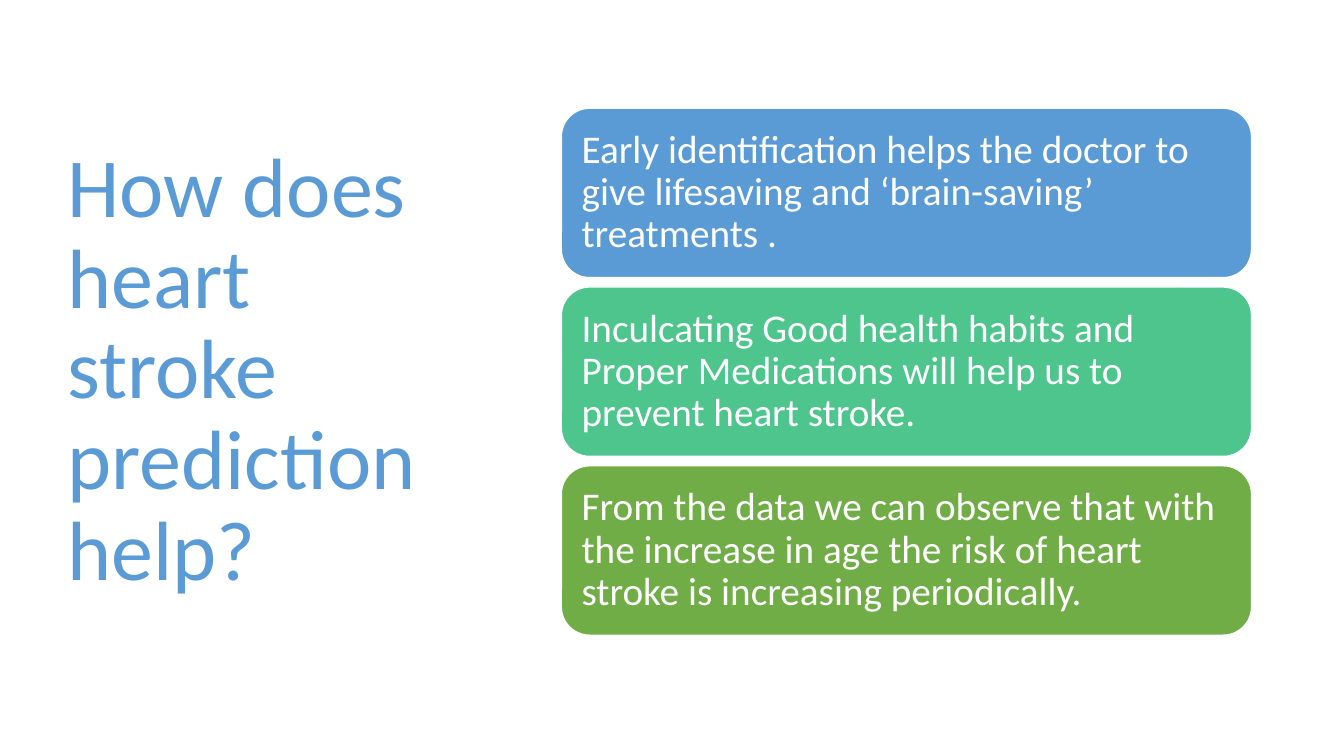
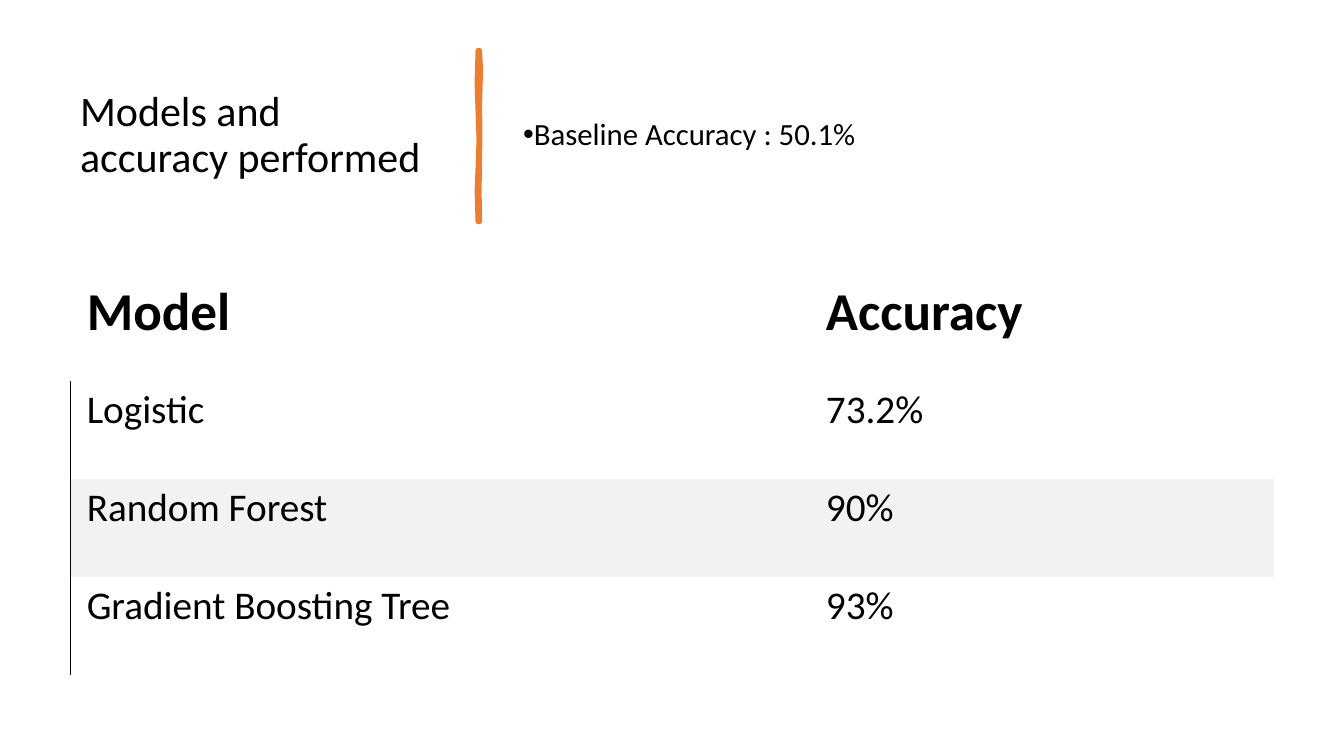
from pptx import Presentation
from pptx.dml.color import RGBColor
from pptx.enum.shapes import MSO_SHAPE
from pptx.enum.text import MSO_ANCHOR, MSO_AUTO_SIZE, PP_ALIGN
from pptx.oxml import parse_xml
from pptx.oxml.ns import nsdecls
from pptx.util import Pt

ROUNDED = MSO_SHAPE.ROUNDED_RECTANGLE
MIDDLE, TOP, BOTTOM = MSO_ANCHOR.MIDDLE, MSO_ANCHOR.TOP, MSO_ANCHOR.BOTTOM
LEFT = PP_ALIGN.LEFT
NO_FIT = MSO_AUTO_SIZE.NONE

FONT = "Calibri"
BLUE = RGBColor(0x5B, 0x9B, 0xD5)
TEAL = RGBColor(0x4D, 0xC5, 0x8D)
GREEN = RGBColor(0x70, 0xAD, 0x47)
ORANGE = RGBColor(0xED, 0x7D, 0x31)
GREY = RGBColor(0xF2, 0xF2, 0xF2)
BLACK = RGBColor(0, 0, 0)
WHITE = RGBColor(255, 255, 255)
PLAIN_TABLE = "{2D5ABB26-0587-4C30-8999-92F81FD0307C}"


def write(tf, text, size, color=BLACK, bold=False, anchor=MIDDLE, spacing=0.9):
    tf.word_wrap = True
    tf.vertical_anchor = anchor
    p = tf.paragraphs[0]
    p.alignment = LEFT
    p.line_spacing = spacing
    p.space_before = Pt(0)
    r = p.add_run()
    r.text = text
    r.font.name = FONT
    r.font.size = Pt(size)
    r.font.bold = bold
    r.font.color.rgb = color
    return p


def fill_placeholder(sp, box, text, size, color=BLACK):
    sp.left, sp.top, sp.width, sp.height = [Pt(v) for v in box]
    sp.text_frame.auto_size = NO_FIT
    return write(sp.text_frame, text, size, color)


prs = Presentation()
prs.slide_width, prs.slide_height = Pt(960), Pt(540)

slide = prs.slides.add_slide(prs.slide_layouts[5])
fill_placeholder(slide.shapes.title, (41, 49, 281, 433),
                 "How does heart stroke prediction help?", 60, BLUE)

benefits = [
    ("Early identification helps the doctor to give lifesaving and ‘brain-saving’ treatments .", BLUE),
    ("Inculcating Good health habits and Proper Medications will help us to prevent heart stroke.", TEAL),
    ("From the data we can observe that with the increase in age the risk of heart stroke is increasing periodically.", GREEN),
]
for i, (text, color) in enumerate(benefits):
    sp = slide.shapes.add_shape(ROUNDED, Pt(401), Pt(77.3 + i * 127.7), Pt(493), Pt(121))
    sp.shadow.inherit = False
    sp.fill.solid()
    sp.fill.fore_color.rgb = color
    sp.line.color.rgb = WHITE
    sp.line.width = Pt(1)
    tf = sp.text_frame
    tf.margin_left = tf.margin_right = Pt(8.6)
    write(tf, text, 28, WHITE)

slide = prs.slides.add_slide(prs.slide_layouts[1])
fill_placeholder(slide.shapes.title, (50, 39.5, 265, 115),
                 "Models and accuracy performed", 30)
p = fill_placeholder(slide.placeholders[1], (366.5, 39.5, 543, 115),
                     "Baseline Accuracy : 50.1%", 22)
pPr = p._p.get_or_add_pPr()
pPr.set("marL", "0")
pPr.set("indent", str(Pt(-18)))

outline = [(341.3, 36), (340.6, 60), (341.3, 79), (342, 100), (341.3, 120),
           (340.6, 136), (341.3, 158.4), (342.7, 158.4), (342.4, 136),
           (342.7, 115), (343, 94), (342.7, 76), (343.4, 50), (342.7, 36)]
points = [(Pt(x), Pt(y)) for x, y in outline]
builder = slide.shapes.build_freeform(*points[0])
builder.add_line_segments(points[1:], close=True)
sp = builder.convert_to_shape()
sp.shadow.inherit = False
sp.fill.solid()
sp.fill.fore_color.rgb = ORANGE
sp.line.color.rgb = ORANGE
sp.line.width = Pt(3.25)

rows = [
    ("Model", "Accuracy"),
    ("Logistic", "73.2%"),
    ("Random Forest", "90%"),
    ("Gradient Boosting Tree", "93%"),
]
frame = slide.shapes.add_table(len(rows), 2, Pt(50), Pt(191), Pt(860), Pt(291))
table = frame.table
table.first_row = table.horz_banding = False
table._tbl.tblPr.find("{*}tableStyleId").text = PLAIN_TABLE
table.columns[0].width, table.columns[1].width = Pt(528), Pt(332)

for i, row in enumerate(rows):
    header = i == 0
    table.rows[i].height = Pt(81 if header else 70)
    for j, text in enumerate(row):
        cell = table.cell(i, j)
        cell.margin_left, cell.margin_top = Pt(12), Pt(3.6)
        cell.margin_right, cell.margin_bottom = Pt(31), Pt(26)
        write(cell.text_frame, text, 38 if header else 28, bold=header, spacing=1.0)
        cell.vertical_anchor = BOTTOM if header else TOP
        if i == 2:
            cell.fill.solid()
            cell.fill.fore_color.rgb = GREY
        else:
            cell.fill.background()
        if j == 0 and not header:
            border = parse_xml(
                f'<a:lnL {nsdecls("a")} w="{Pt(0.75)}"><a:solidFill>'
                f'<a:srgbClr val="{BLACK}"/></a:solidFill></a:lnL>')
            cell._tc.get_or_add_tcPr().insert(0, border)

prs.save("out.pptx")
